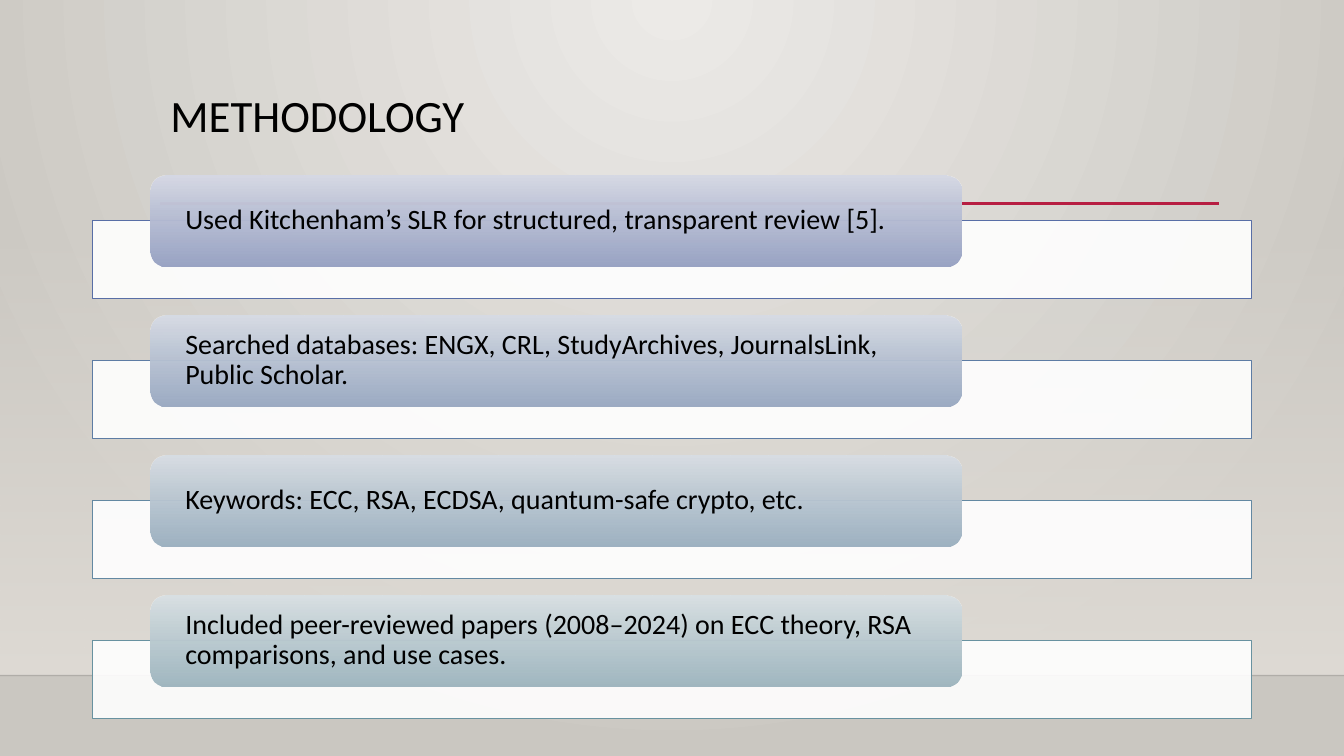
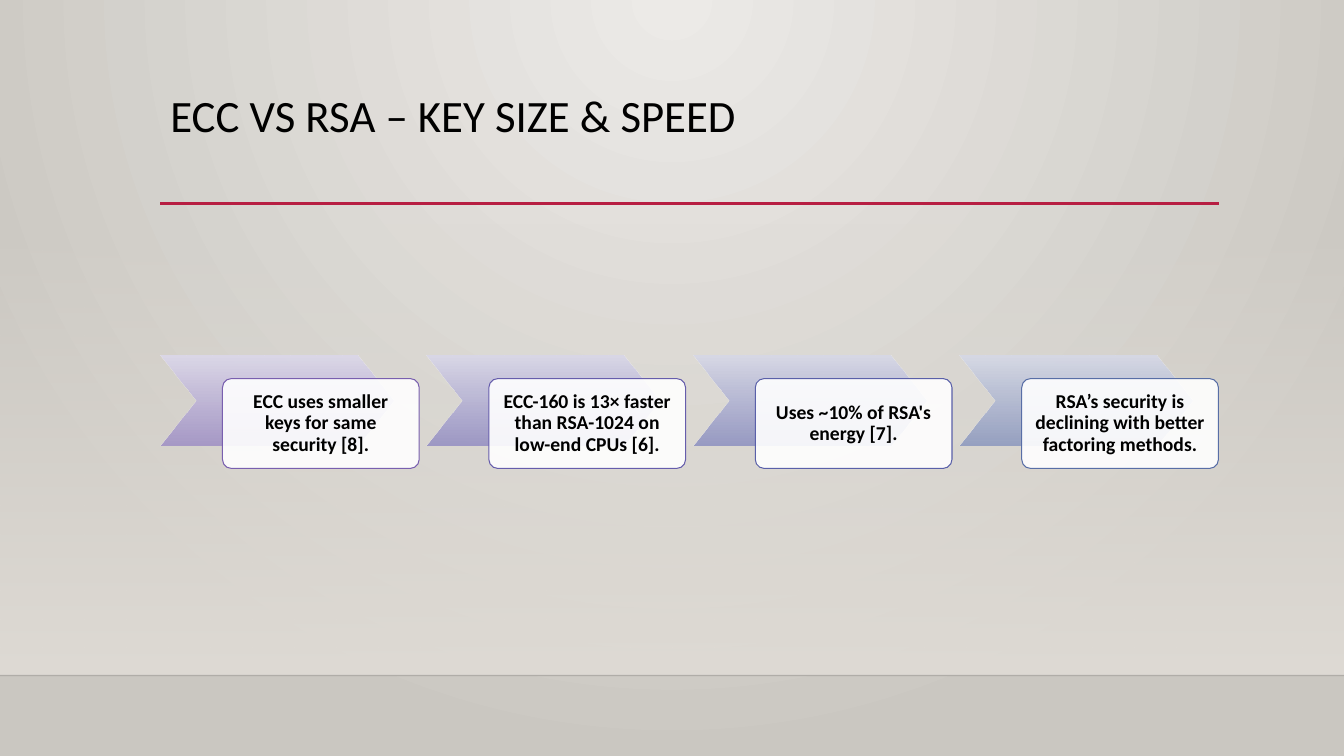
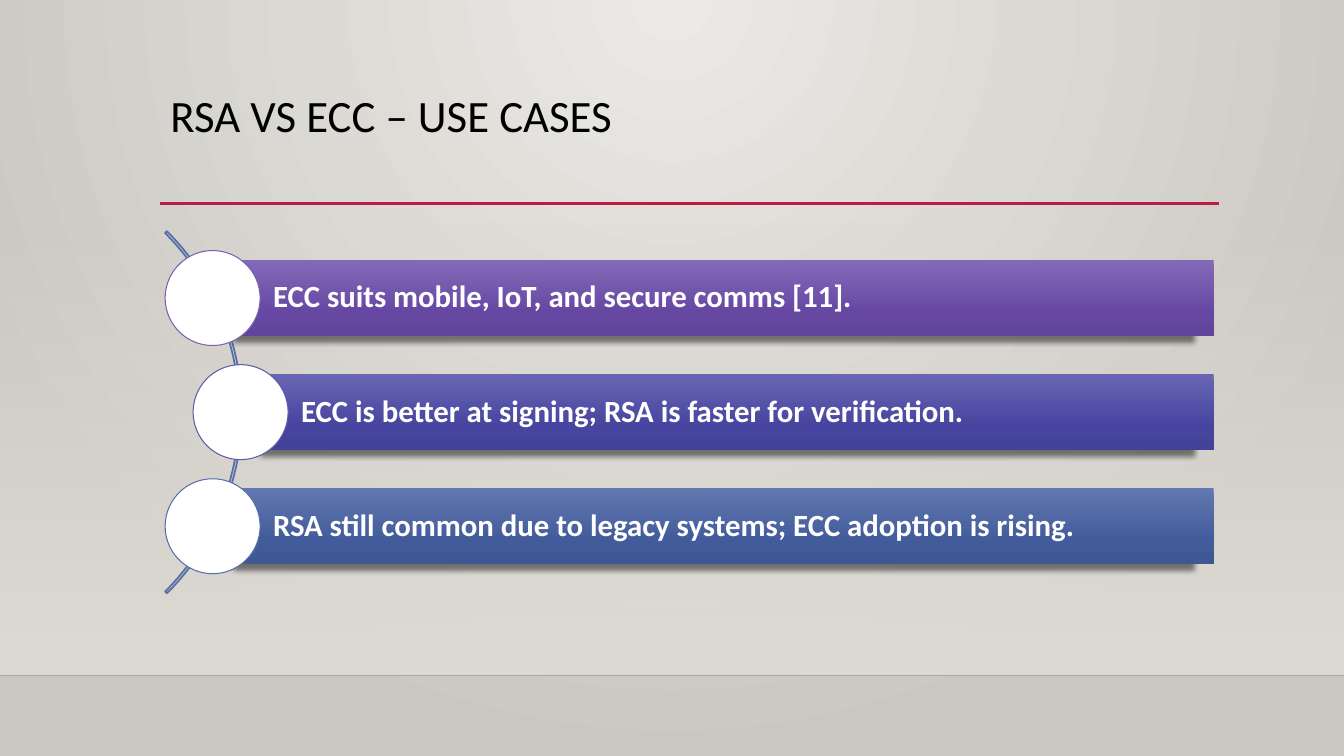
"""Build three slides on a review of ECC and RSA cryptography."""
from dataclasses import dataclass

from lxml import etree
from pptx import Presentation
from pptx.dml.color import RGBColor
from pptx.dml.fill import FillFormat
from pptx.enum.shapes import MSO_CONNECTOR, MSO_SHAPE
from pptx.enum.text import MSO_ANCHOR, PP_ALIGN
from pptx.oxml.ns import qn
from pptx.shapes.autoshape import Shape
from pptx.shapes.connector import Connector
from pptx.slide import Slide, SlideLayout, SlideMaster
from pptx.util import Pt

RECT, ROUND = MSO_SHAPE.RECTANGLE, MSO_SHAPE.ROUNDED_RECTANGLE
CHEVRON, OVAL, ARC = MSO_SHAPE.CHEVRON, MSO_SHAPE.OVAL, MSO_SHAPE.BLOCK_ARC
STRAIGHT = MSO_CONNECTOR.STRAIGHT
LEFT, CENTER = PP_ALIGN.LEFT, PP_ALIGN.CENTER
TOP, MIDDLE = MSO_ANCHOR.TOP, MSO_ANCHOR.MIDDLE

FONT = "Calibri"
WIDTH, HEIGHT = 960, 540
MARGIN, RULE_Y, FLOOR_Y = 114.5, 145.5, 482.5
COLORS = {
    "black": "000000", "white": "FFFFFF", "rule": "B71E42",
    "wall": "DFDBD5", "bg_in": "ECEAE7", "bg_out": "CAC7C1",
    "purple": "795FAF", "violet": "665DAC", "indigo": "5D5BAB",
    "iris": "5A60A9", "blue": "586EA6", "steel": "5D7CA4",
    "slate": "6388A2", "teal": "6892A0",
}

Box = tuple[float, float, float, float]
Stop = tuple[float, str, float]


@dataclass(frozen=True)
class Item:
    """One text with its outline colour and gradient hex colours."""
    text: str
    line: str
    shades: tuple[str, ...]


METHODS = [
    Item("Used Kitchenham’s SLR for structured, transparent review [5].",
         "blue", ("D6D9E5", "929DC0")),
    Item("Searched databases: ENGX, CRL, StudyArchives, JournalsLink, Public Scholar.",
         "steel", ("D7DCE5", "95A5BF")),
    Item("Keywords: ECC, RSA, ECDSA, quantum-safe crypto, etc.",
         "slate", ("D8DEE4", "97ACBD")),
    Item("Included peer-reviewed papers (2008–2024) on ECC theory, RSA "
         "comparisons, and use cases.", "teal", ("D9E1E4", "9AB2BC")),
]
FINDINGS = [
    Item("ECC uses smaller keys for same security [8].",
         "purple", ("DCD8E8", "A395C6")),
    Item("ECC-160 is 13× faster than RSA-1024 on low-end CPUs [6].",
         "violet", ("D9D7E7", "9994C4")),
    Item("Uses ~10% of RSA's energy [7].", "iris", ("D7D8E6", "9396C2")),
    Item("RSA’s security is declining with better factoring methods.",
         "blue", ("D6D9E5", "929DC0")),
]
USES = [
    Item("ECC suits mobile, IoT, and secure comms [11].",
         "purple", ("836AB8", "6648A3", "60459A")),
    Item("ECC is better at signing; RSA is faster for verification.",
         "indigo", ("6866B4", "47459F", "434297")),
    Item("RSA still common due to legacy systems; ECC adoption is rising.",
         "blue", ("6378B0", "425B9B", "3F5793")),
]


def rgb(name: str) -> RGBColor:
    return RGBColor.from_string(COLORS[name])


def add_color(parent: etree._Element, value: str, alpha: float) -> None:
    clr = etree.SubElement(parent, qn("a:srgbClr"), val=value)
    if alpha < 100:
        etree.SubElement(clr, qn("a:alpha"), val=str(round(alpha * 1000)))


def set_alpha(s: Shape | Connector, alpha: float) -> None:
    clr = next(s._element.spPr.iter(qn("a:srgbClr")))
    etree.SubElement(clr, qn("a:alpha"), val=str(round(alpha * 1000)))


def set_gradient(owner: etree._Element, fill: FillFormat, stops: list[Stop],
                 focus: dict[str, str] | None = None) -> None:
    fill.gradient()
    grad = next(owner.iter(qn("a:gradFill")))
    grad.clear()
    grad.set("rotWithShape", "1")
    gs_list = etree.SubElement(grad, qn("a:gsLst"))
    for pos, value, alpha in stops:
        gs = etree.SubElement(gs_list, qn("a:gs"), pos=str(round(pos * 1000)))
        add_color(gs, value, alpha)
    if focus:
        shade = etree.SubElement(grad, qn("a:path"), path="circle")
        etree.SubElement(shade, qn("a:fillToRect"), **focus)
    else:
        etree.SubElement(grad, qn("a:lin"), ang="5400000", scaled="0")


def add_shape(slide: Slide, kind: MSO_SHAPE, box: Box, fill: str | None = None,
              line: str | None = None, weight: float = 0.75) -> Shape:
    s = slide.shapes.add_shape(kind, *(Pt(v) for v in box))
    s.shadow.inherit = False
    if fill:
        s.fill.solid()
        s.fill.fore_color.rgb = rgb(fill)
    else:
        s.fill.background()
    if line:
        s.line.color.rgb = rgb(line)
        s.line.width = Pt(weight)
    else:
        s.line.fill.background()
    return s


def add_blend(slide: Slide, kind: MSO_SHAPE, box: Box, stops: list[Stop]) -> Shape:
    s = add_shape(slide, kind, box)
    set_gradient(s._element.spPr, s.fill, stops)
    return s


def add_tint(slide: Slide, kind: MSO_SHAPE, box: Box, item: Item) -> Shape:
    start, end = item.shades
    return add_blend(slide, kind, box, [(0, start, 100), (100, end, 92)])


def add_panel(slide: Slide, kind: MSO_SHAPE, box: Box, item: Item) -> Shape:
    s = add_shape(slide, kind, box, "white", item.line)
    set_alpha(s, 90)
    return s


def add_rule(slide: Slide, x1: float, x2: float, y: float, color: str,
             weight: float) -> Connector:
    s = slide.shapes.add_connector(STRAIGHT, Pt(x1), Pt(y), Pt(x2), Pt(y))
    s.line.color.rgb = rgb(color)
    s.line.width = Pt(weight)
    etree.SubElement(s._element.spPr, qn("a:effectLst"))
    return s


def set_text(s: Shape, text: str, size: float, color: str = "black",
             align: PP_ALIGN = LEFT, anchor: MSO_ANCHOR = MIDDLE,
             bold: bool = False, insets: Box = (7.2, 3.6, 7.2, 3.6)) -> None:
    tf = s.text_frame
    tf.word_wrap = True
    tf.vertical_anchor = anchor
    tf.margin_left, tf.margin_top, tf.margin_right, tf.margin_bottom = map(Pt, insets)
    p = tf.paragraphs[0]
    p.text = text
    p.alignment = align
    p.line_spacing = 0.9
    p.font.name, p.font.size, p.font.bold = FONT, Pt(size), bold
    p.font.color.rgb = rgb(color)


def add_shadow(s: Shape) -> None:
    effects = s._element.spPr.find(qn("a:effectLst"))
    shadow = etree.SubElement(effects, qn("a:outerShdw"), blurRad="50800", dist="50800",
                              dir="5400000", sx="96000", sy="96000", rotWithShape="0")
    add_color(shadow, COLORS["black"], 48)


def set_background(master: SlideMaster) -> None:
    stops = [(0, COLORS["bg_in"], 100), (100, COLORS["bg_out"], 100)]
    set_gradient(master._element, master.background.fill, stops,
                 {"l": "43000", "t": "0", "r": "43000", "b": "100000"})


def decorate_layout(layout: SlideLayout, slide: Slide) -> None:
    wall = add_blend(slide, RECT, (0, 159, WIDTH, FLOOR_Y - 159),
                     [(0, COLORS["wall"], 0), (100, COLORS["wall"], 100)])
    floor = add_rule(slide, 0, WIDTH, FLOOR_Y, "black", 1)
    set_alpha(floor, 20)
    rule = add_rule(slide, MARGIN, 871, RULE_Y, "rule", 2.5)
    for i, s in enumerate((wall, floor, rule)):
        s._element.xpath(".//p:cNvPr")[0].set("id", str(100 + i))
        layout.shapes._spTree.insert(2 + i, s._element)


def add_slide(prs: Presentation, layout: SlideLayout, title: str) -> Slide:
    slide = prs.slides.add_slide(layout)
    s = slide.shapes.title
    s.left, s.top, s.width, s.height = Pt(MARGIN), Pt(63.4), Pt(756), Pt(82.8)
    set_text(s, title, 32, anchor=TOP)
    return slide


def draw_methods(slide: Slide) -> None:
    for i, item in enumerate(METHODS):
        y = 125.2 + 100 * i
        add_panel(slide, RECT, (66.2, y + 32.4, 828, 55.6), item)
        s = add_tint(slide, ROUND, (107.3, y, 579.6, 65), item)
        set_text(s, item.text, 20, insets=(21.9, 0, 21.9, 0))


def draw_findings(slide: Slide) -> None:
    for i, item in enumerate(FINDINGS):
        x = MARGIN + 190.3 * i
        s = add_tint(slide, CHEVRON, (x, 254.3, 166.4, 64.2), item)
        s.adjustments[0] = 0.4
        s = add_panel(slide, ROUND, (x + 44.4, 270.4, 140.5, 64.2), item)
        s.adjustments[0] = 0.1
        set_text(s, item.text, 14, align=CENTER, bold=True, insets=(7.8,) * 4)


def draw_uses(slide: Slide) -> None:
    s = add_shape(slide, ARC, (-193, 111.6, 365.8, 365.8), line="blue", weight=1.25)
    for i, value in enumerate((189, 27, 0.005)):
        s.adjustments[i] = value
    for i, item in enumerate(USES):
        x, y = 152 + 20 * (i % 2), 185.8 + 81.5 * i
        stops = [(pos, c, 100) for pos, c in zip((0, 69, 100), item.shades)]
        s = add_blend(slide, RECT, (x, y, 867 - x, 54.2), stops)
        add_shadow(s)
        set_text(s, item.text, 22, "white", bold=True, insets=(43.1, 4.3, 4.3, 4.3))
        add_shape(slide, OVAL, (x - 34, y - 6.8, 67.8, 67.8), "white", item.line)


def main() -> None:
    prs = Presentation()
    prs.slide_width, prs.slide_height = Pt(WIDTH), Pt(HEIGHT)
    set_background(prs.slide_master)
    layout = prs.slide_layouts[5]
    pages = [
        ("METHODOLOGY", draw_methods),
        ("ECC VS RSA – KEY SIZE & SPEED", draw_findings),
        ("RSA VS ECC – USE CASES", draw_uses),
    ]
    for i, (title, draw) in enumerate(pages):
        slide = add_slide(prs, layout, title)
        if i == 0:
            decorate_layout(layout, slide)
        draw(slide)
    prs.save("out.pptx")


if __name__ == "__main__":
    main()
